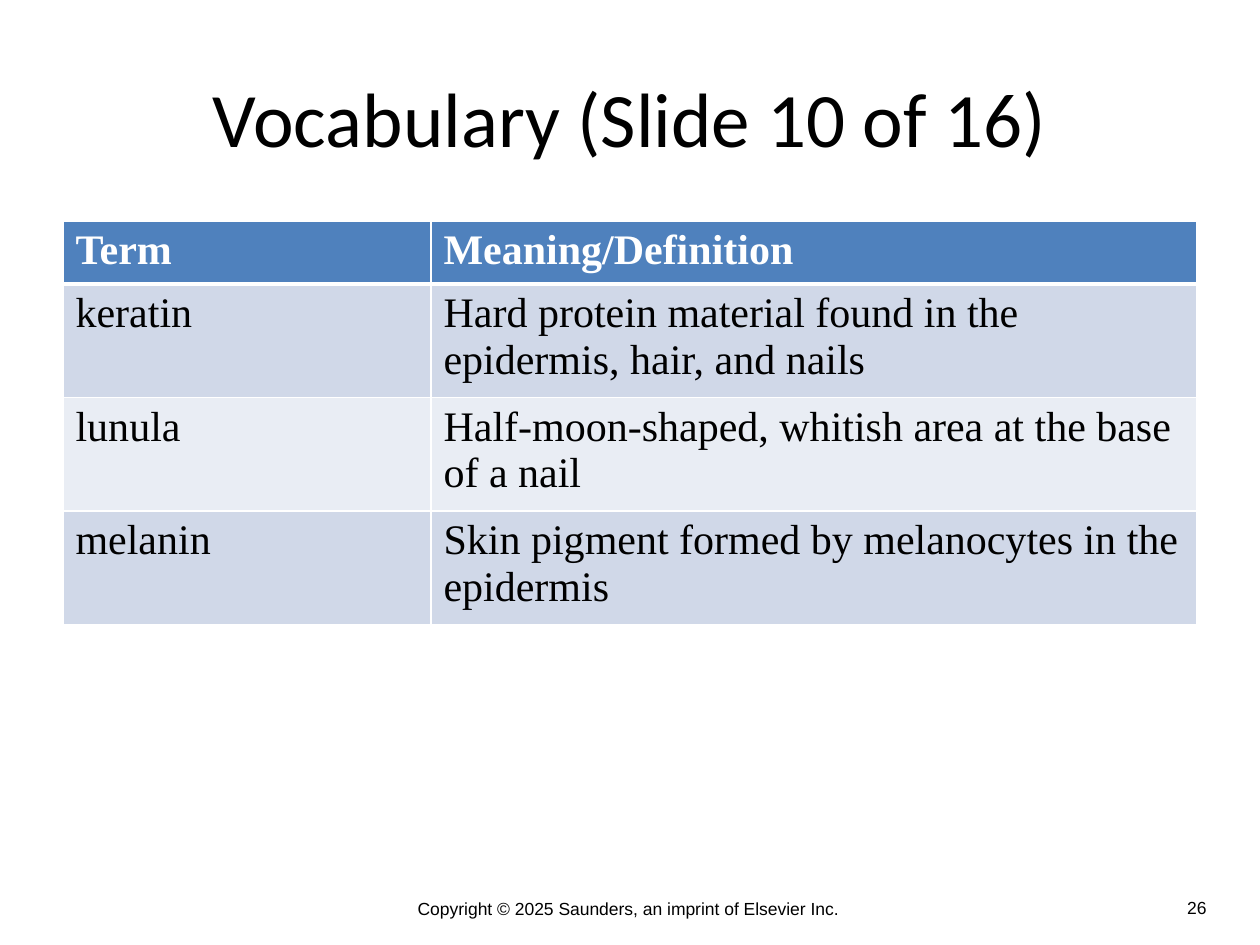
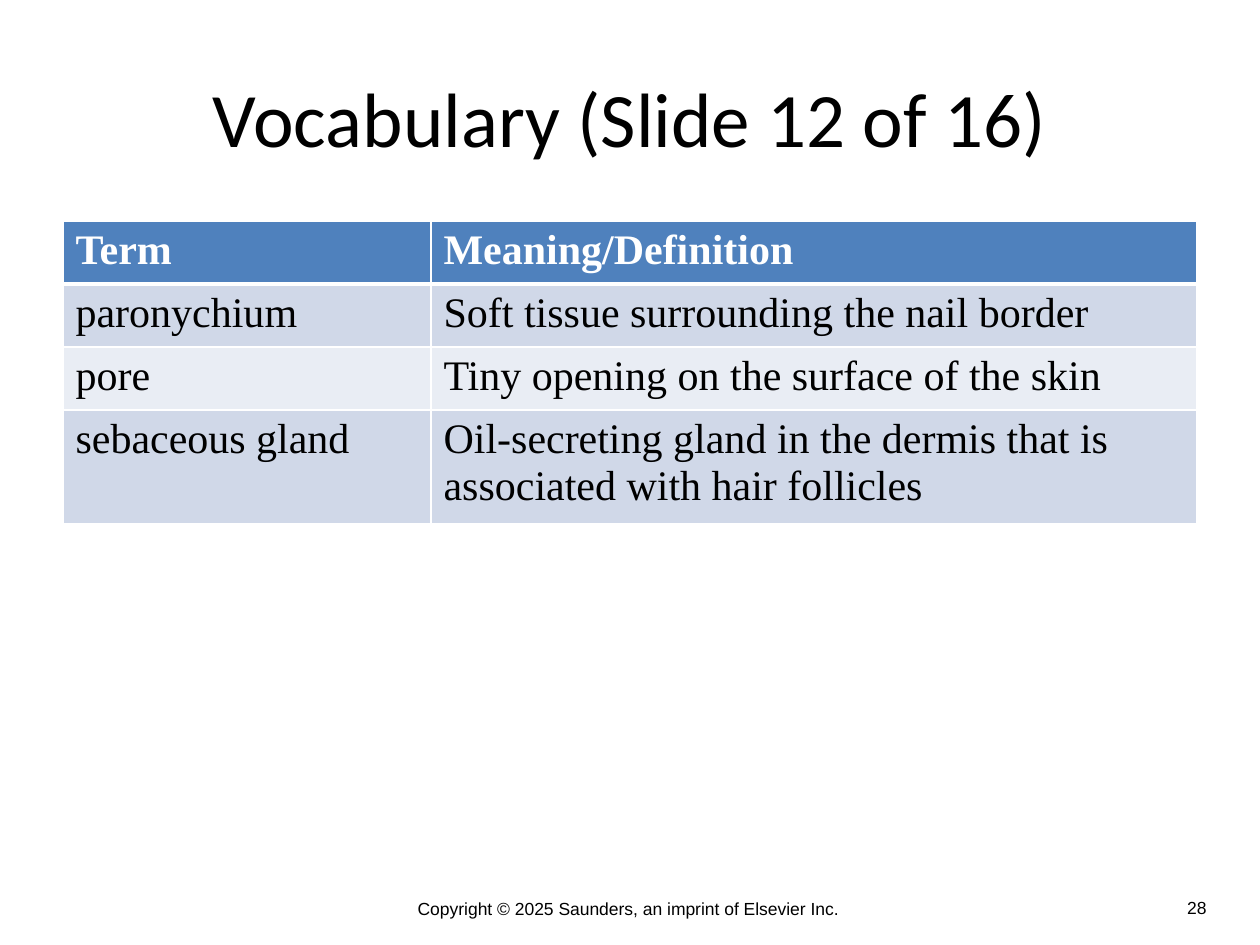
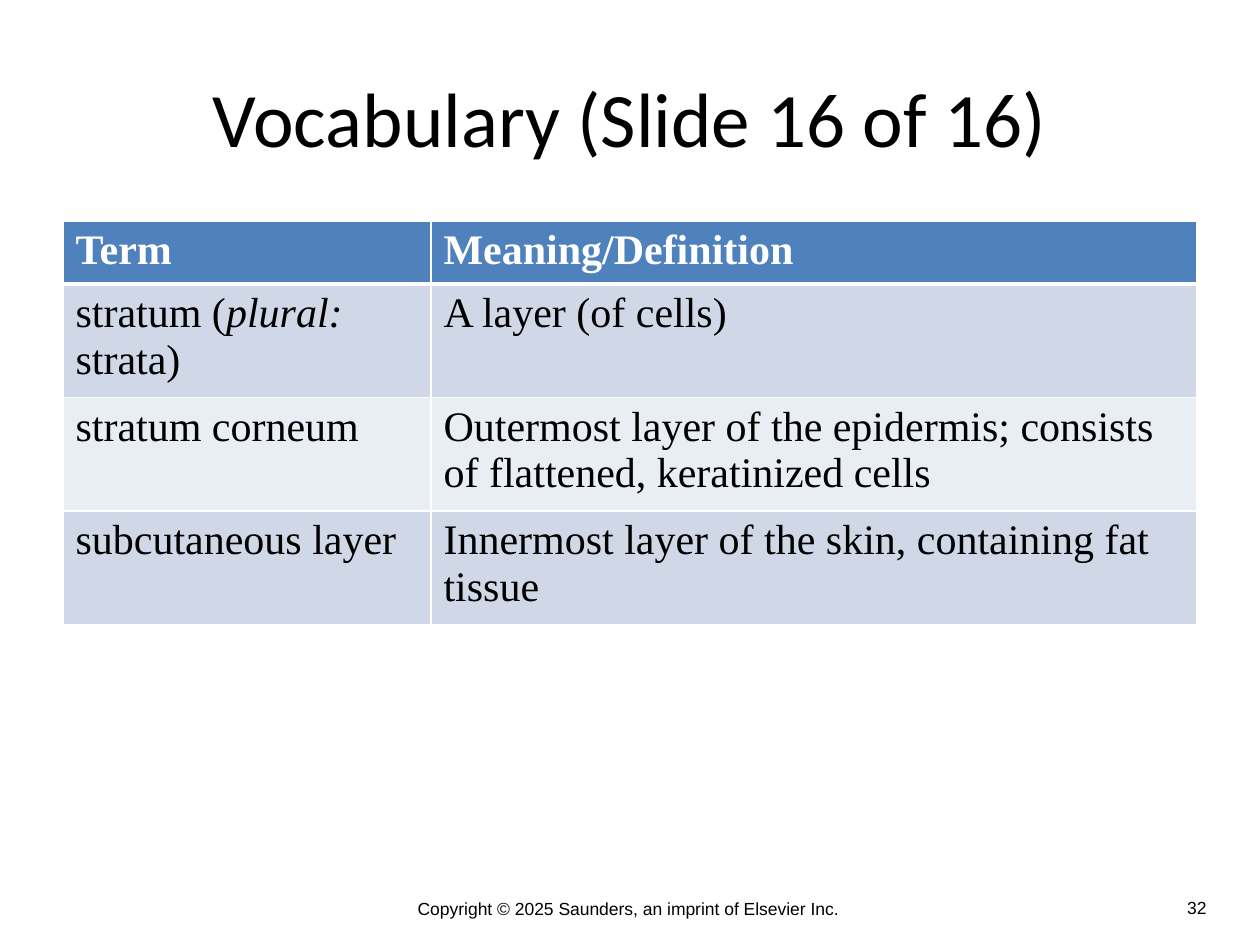
import pptx
import pptx.dml.color
import pptx.enum.text
import pptx.oxml
import pptx.oxml.ns
import pptx.util

PX = 914400 // 126
COLOURS = {"ink": "000000", "paper": "FFFFFF", "header": "4F81BD", "odd": "D0D8E8", "even": "E9EDF4"}
ALIGN = pptx.enum.text.PP_ALIGN
ANCHOR = pptx.enum.text.MSO_ANCHOR

TITLE_BOX = (63, 38, 1134, 158)
TABLE_BOX = (63, 221, 1134)
COPYRIGHT_BOX = (95, 892, 1071, 53)
PAGE_BOX = (1061, 891, 158, 34)
TERM_WIDTH = 368
LINE_HEIGHT, ROW_PADDING = 46, 13
ONE_LINE = LINE_HEIGHT + ROW_PADDING
TWO_LINES = 2 * LINE_HEIGHT + ROW_PADDING
HEADER = ("Term", "Meaning/Definition", ONE_LINE)

VOCABULARY = [
    (10, 26, [
        ("keratin", "Hard protein material found in the epidermis, hair, and nails", TWO_LINES),
        ("lunula", "Half-moon-shaped, whitish area at the base of a nail", TWO_LINES),
        ("melanin", "Skin pigment formed by melanocytes in the epidermis", TWO_LINES),
    ]),
    (12, 28, [
        ("paronychium", "Soft tissue surrounding the nail border", ONE_LINE),
        ("pore", "Tiny opening on the surface of the skin", ONE_LINE),
        ("sebaceous gland", "Oil-secreting gland in the dermis that is associated with hair follicles", TWO_LINES),
    ]),
    (16, 32, [
        ("stratum (_plural:_ strata)", "A layer (of cells)", TWO_LINES + 5),
        ("stratum corneum", "Outermost layer of the epidermis; consists of flattened, keratinized cells", TWO_LINES),
        ("subcutaneous layer", "Innermost layer of the skin, containing fat tissue", TWO_LINES),
    ]),
]


def px(length):
    return length * PX


def colour(name):
    return pptx.dml.color.RGBColor.from_string(COLOURS[name])


def style(paragraph, font_name, size, ink="ink", bold=False):
    font = paragraph.font
    font.name = font_name
    font.size = pptx.util.Pt(size)
    font.bold = bold
    font.color.rgb = colour(ink)


def add_label(slide, box, text, font_name, size, align, anchor=ANCHOR.TOP):
    frame = slide.shapes.add_textbox(*map(px, box)).text_frame
    frame.word_wrap = True
    frame.vertical_anchor = anchor
    paragraph = frame.paragraphs[0]
    paragraph.text = text
    paragraph.alignment = align
    style(paragraph, font_name, size)


def add_borders(cell, top, bottom):
    properties = cell._tc.get_or_add_tcPr()
    for side, points in (("L", 1), ("R", 1), ("T", top), ("B", bottom)):
        properties.append(pptx.oxml.parse_xml(
            f'<a:ln{side} {pptx.oxml.ns.nsdecls("a")} w="{pptx.util.Pt(points)}">'
            f'<a:solidFill><a:srgbClr val="{COLOURS["paper"]}"/></a:solidFill></a:ln{side}>'))


def fill_cell(cell, text, row):
    is_header = row == 0
    add_borders(cell, 3 if row == 1 else 1, 3 if is_header else 1)
    cell.fill.solid()
    cell.fill.fore_color.rgb = colour("header" if is_header else "odd" if row % 2 else "even")
    paragraph = cell.text_frame.paragraphs[0]
    for index, part in enumerate(text.split("_")):
        run = paragraph.add_run()
        run.text = part
        if index % 2:
            run.font.italic = True
    style(paragraph, "Times New Roman", 24, "paper" if is_header else "ink", is_header)


def add_vocabulary_table(slide, box, entries):
    left, top, width = box
    rows = [HEADER, *entries]
    height = sum(row_height for _, _, row_height in rows)
    table = slide.shapes.add_table(len(rows), 2, px(left), px(top), px(width), px(height)).table
    table.horz_banding = False
    table.columns[0].width = px(TERM_WIDTH)
    table.columns[1].width = px(width - TERM_WIDTH)
    for row, (term, meaning, row_height) in enumerate(rows):
        table.rows[row].height = px(row_height)
        fill_cell(table.cell(row, 0), term, row)
        fill_cell(table.cell(row, 1), meaning, row)


def add_footer(slide, page):
    add_label(slide, COPYRIGHT_BOX, "Copyright © 2025 Saunders, an imprint of Elsevier Inc. ",
              "Arial", 10, ALIGN.CENTER)
    add_label(slide, PAGE_BOX, str(page), "Arial", 10, ALIGN.RIGHT)


def add_vocabulary_slide(deck, number, page, entries):
    slide = deck.slides.add_slide(deck.slide_layouts[6])
    slide.background.fill.solid()
    slide.background.fill.fore_color.rgb = colour("paper")
    add_footer(slide, page)
    add_label(slide, TITLE_BOX, f"Vocabulary (Slide {number} of 16)", "Calibri", 44,
              ALIGN.CENTER, ANCHOR.MIDDLE)
    add_vocabulary_table(slide, TABLE_BOX, entries)


def main():
    deck = pptx.Presentation()
    deck.slide_width = pptx.util.Inches(10)
    deck.slide_height = pptx.util.Inches(7.5)
    for number, page, entries in VOCABULARY:
        add_vocabulary_slide(deck, number, page, entries)
    deck.save("out.pptx")


if __name__ == "__main__":
    main()
